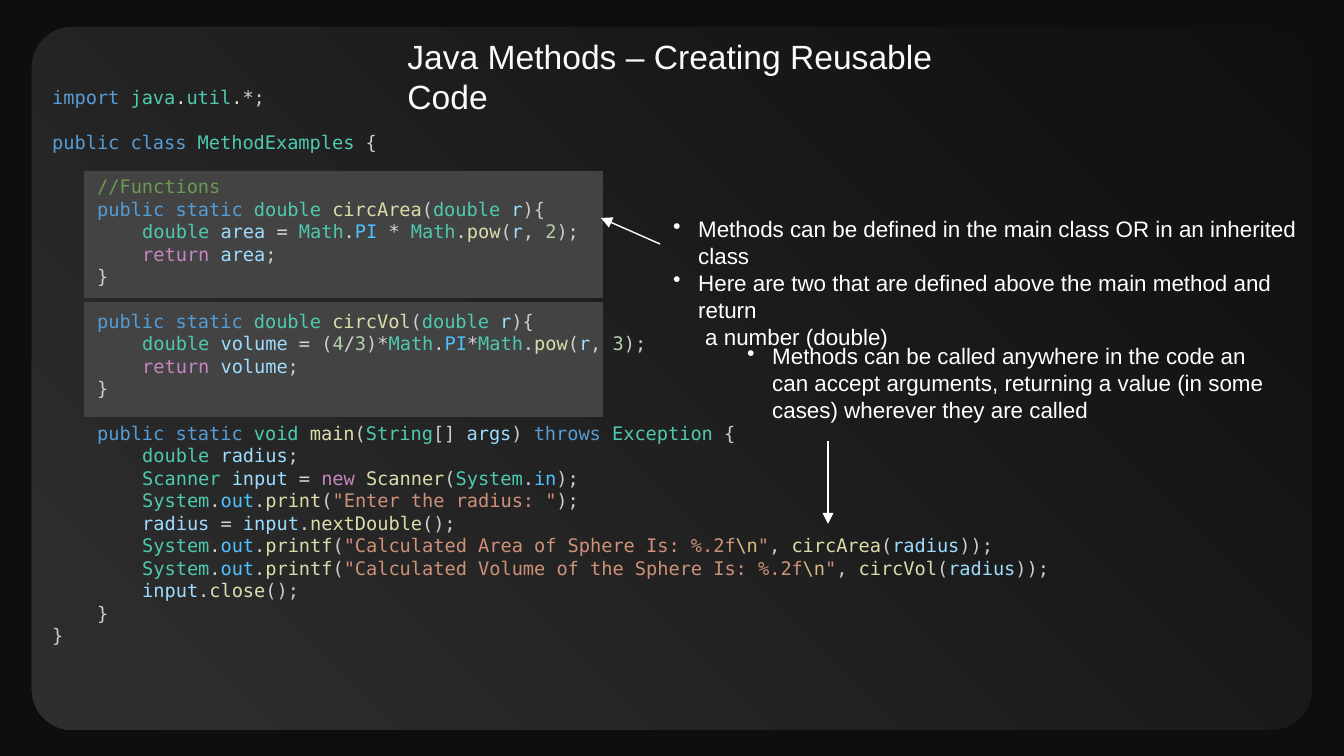
from lxml import etree
from pptx import Presentation
from pptx import util as u
from pptx.dml.color import RGBColor
from pptx.enum import shapes, text
from pptx.oxml.ns import qn

PX = 914400 / 134.4  # EMU per px
BACK = RGBColor(0x0E, 0x0E, 0x0E)
DARK, LIGHT = RGBColor(0x0F, 0x0F, 0x0F), RGBColor(0x2E, 0x2E, 0x2E)
BOX = RGBColor(0x43, 0x43, 0x43)
TITLE = RGBColor(0xFA, 0xFA, 0xFA)
WHITE = RGBColor(0xFF, 0xFF, 0xFF)
SYNTAX = {
    "k": RGBColor(0x56, 0x9C, 0xD6),  # keyword
    "t": RGBColor(0x4E, 0xC9, 0xB0),  # type
    "f": RGBColor(0xDC, 0xDC, 0xAA),  # function
    "v": RGBColor(0x9C, 0xDC, 0xFE),  # variable
    "c": RGBColor(0x4F, 0xC1, 0xFF),  # constant
    "n": RGBColor(0xB5, 0xCE, 0xA8),  # number
    "x": RGBColor(0xC5, 0x86, 0xC0),  # control
    "s": RGBColor(0xCE, 0x91, 0x78),  # string
    "e": RGBColor(0xD7, 0xBA, 0x7D),  # escape
    "m": RGBColor(0x6A, 0x99, 0x55),  # comment
    "o": RGBColor(0xD4, 0xD4, 0xD4),  # operator
    "p": RGBColor(0xCC, 0xCC, 0xCC),  # punctuation
}


def px(*values):
    return [u.Emu(round(v * PX)) for v in values]


def add_run(p, words, size=12, color=WHITE, font="Arial"):
    r = p.add_run()
    r.text = words
    r.font.size, r.font.name = u.Pt(size), font
    r.font.color.rgb = color


prs = Presentation()
prs.slide_width, prs.slide_height = px(1344, 756)
s = prs.slides.add_slide(prs.slide_layouts[5])
s.background.fill.solid()
s.background.fill.fore_color.rgb = BACK

# Rounded panel
panel = s.shapes.add_shape(shapes.MSO_SHAPE.ROUNDED_RECTANGLE, *px(32, 27, 1280, 703))
panel.adjustments[0] = 0.057
panel.shadow.inherit = False
panel.line.fill.background()
panel.fill.gradient()
panel.fill.gradient_angle = 225
for stop, color in zip(panel.fill.gradient_stops, (DARK, LIGHT)):
    stop.color.rgb = color
for stop, position in zip(panel.fill.gradient_stops, (0, 1)):
    stop.position = position

# Highlights behind the two methods
for top, height in ((302, 115), (171, 127)):
    sp = s.shapes.add_shape(shapes.MSO_SHAPE.RECTANGLE, *px(84, top, 519, height))
    sp.shadow.inherit = False
    sp.fill.solid()
    sp.fill.fore_color.rgb = BOX
    sp.line.fill.background()

# Title, raised above the panel
title = s.shapes.title
s.shapes._spTree.append(title._element)
title.left, title.top, title.width, title.height = px(394, 22, 568, 85)
tf = title.text_frame
tf.word_wrap, tf.auto_size = True, text.MSO_AUTO_SIZE.NONE
tf.vertical_anchor = text.MSO_ANCHOR.TOP
tf.margin_left = tf.margin_top = tf.margin_right = tf.margin_bottom = u.Inches(0.1)
tf.paragraphs[0].alignment = text.PP_ALIGN.LEFT
add_run(tf.paragraphs[0], "Java Methods – Creating Reusable Code", size=18, color=TITLE)

# Code: indent level, blank line above, then key:token pieces
PRINTF = "t:System|p:.|c:out|p:.|f:printf|p:("
METHOD = "k:public static |t:double |"
ARGS = "|p:(|t:double |v:r|p:){"
POW = "t:Math|p:.|f:pow|p:(|v:r|p:, |"
CALL = r"|e:\n|s:"
code = [
    (0, 0, "k:import |t:java|o:.|t:util|o:.*|p:;"),
    (0, 1, "k:public class |t:MethodExamples|p: {"),
    (1, 1, "m://Functions"),
    (1, 0, METHOD + "f:circArea" + ARGS),
    (2, 0, "t:double |v:area |o:= |t:Math|p:.|c:PI |o:* |" + POW + "n:2|p:);"),
    (2, 0, "x:return |v:area|p:;"),
    (1, 0, "p:}"),
    (1, 1, METHOD + "f:circVol" + ARGS),
    (2, 0, "t:double |v:volume |o:=|p: (|n:4|o:/|n:3|p:)|o:*|t:Math|p:.|c:PI|o:*|"
     + POW + "n:3|p:);"),
    (2, 0, "x:return |v:volume|p:;"),
    (1, 0, "p:}"),
    (1, 1, "k:public static |t:void |f:main|p:(|t:String|p:[] |v:args|p:) "
     "|k:throws |t:Exception|p: {"),
    (2, 0, "t:double |v:radius|p:;"),
    (2, 0, "t:Scanner |v:input |o:= |x:new |f:Scanner|p:(|t:System|p:.|c:in|p:);"),
    (2, 0, 't:System|p:.|c:out|p:.|f:print|p:(|s:"Enter the radius: "|p:);'),
    (2, 0, "v:radius |o:= |v:input|p:.|f:nextDouble|p:();"),
    (2, 0, PRINTF + '|s:"Calculated Area of Sphere Is: %.2f' + CALL
     + '"|p:, |f:circArea|p:(|v:radius|p:));'),
    (2, 0, PRINTF + '|s:"Calculated Volume of the Sphere Is: %.2f' + CALL
     + '"|p:, |f:circVol|p:(|v:radius|p:));'),
    (2, 0, "v:input|p:.|f:close|p:();"),
    (1, 0, "p:}"),
    (0, 0, "p:}"),
]
tf = s.shapes.add_textbox(*px(39, 79, 1267, 579)).text_frame
tf.word_wrap = True
for i, (level, gap, tokens) in enumerate(code):
    p = tf.add_paragraph() if i else tf.paragraphs[0]
    p.space_before = u.Pt(12 * gap)
    p._p.get_or_add_pPr().set("marL", str(px(45 * level)[0]))
    for token in tokens.split("|"):
        key, words = token.split(":", 1)
        add_run(p, words, size=10, color=SYNTAX[key], font="DejaVu Sans Mono")

# Notes: box, then (text, bulleted)
notes = [
    ((660, 202, 664, 106), [
        ("Methods can be defined in the main class OR in an inherited class", True),
        ("Here are two that are defined above the main method and return", True),
        ("a number (double)", False)]),
    ((734, 329, 562, 106), [
        ("Methods can be called anywhere in the code an can accept arguments, "
         "returning a value (in some cases) wherever they are called", True)]),
]
for box, lines in notes:
    tf = s.shapes.add_textbox(*px(*box)).text_frame
    tf.word_wrap = True
    tf.margin_left = tf.margin_top = tf.margin_right = tf.margin_bottom = u.Inches(0.1)
    for i, (words, bulleted) in enumerate(lines):
        p = tf.add_paragraph() if i else tf.paragraphs[0]
        add_run(p, words)
        pPr = p._p.get_or_add_pPr()
        pPr.set("marL", str(px(25 if bulleted else 32)[0]))
        if bulleted:
            pPr.set("indent", str(px(-25)[0]))
            tint = etree.SubElement(pPr, qn("a:buClr"))
            etree.SubElement(tint, qn("a:srgbClr"), val=str(TITLE))
            etree.SubElement(pPr, qn("a:buChar"), char="•")

# Arrows from the notes to the code
for ends in ((660, 244, 601, 218), (828, 441, 828, 524)):
    arrow = s.shapes.add_connector(shapes.MSO_CONNECTOR.STRAIGHT, *px(*ends))
    arrow.line.color.rgb = WHITE
    arrow.line.width = u.Pt(0.75)
    etree.SubElement(arrow.line._get_or_add_ln(), qn("a:tailEnd"), type="triangle")
    etree.SubElement(arrow._element.spPr, qn("a:effectLst"))

prs.save("out.pptx")
